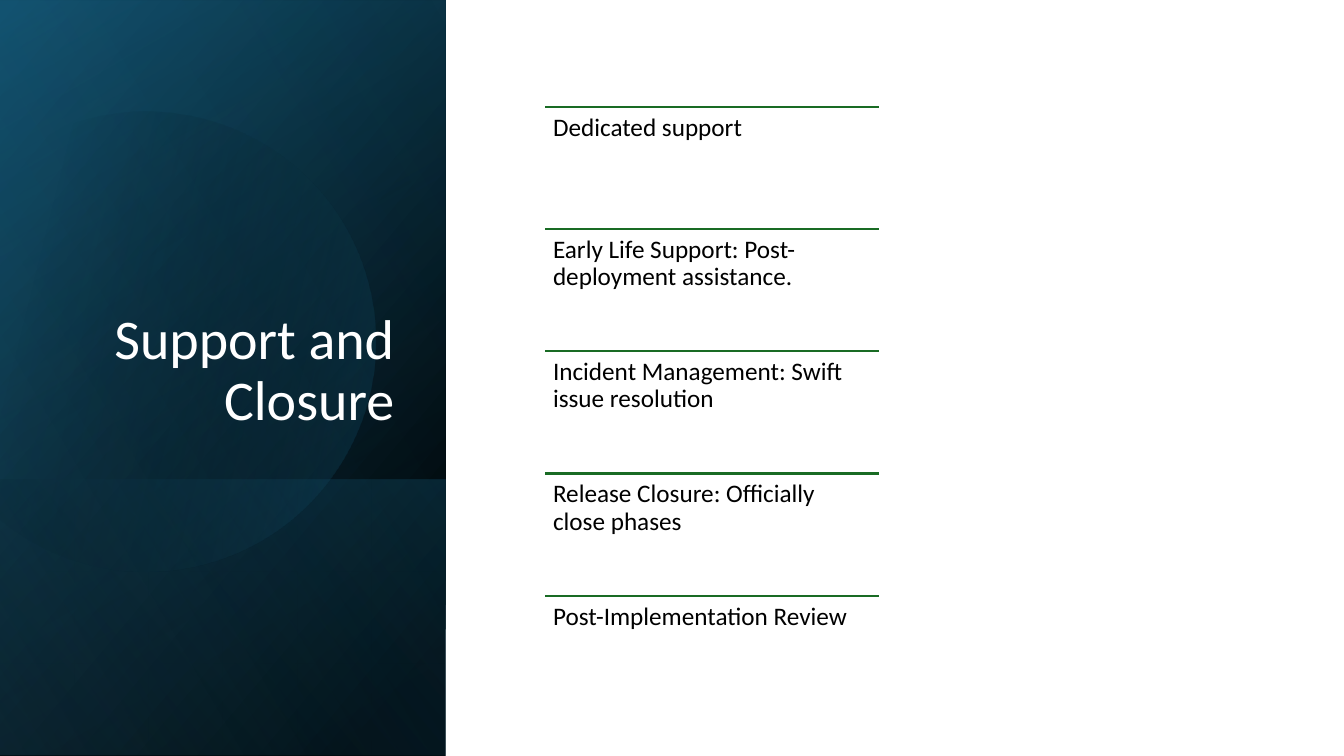
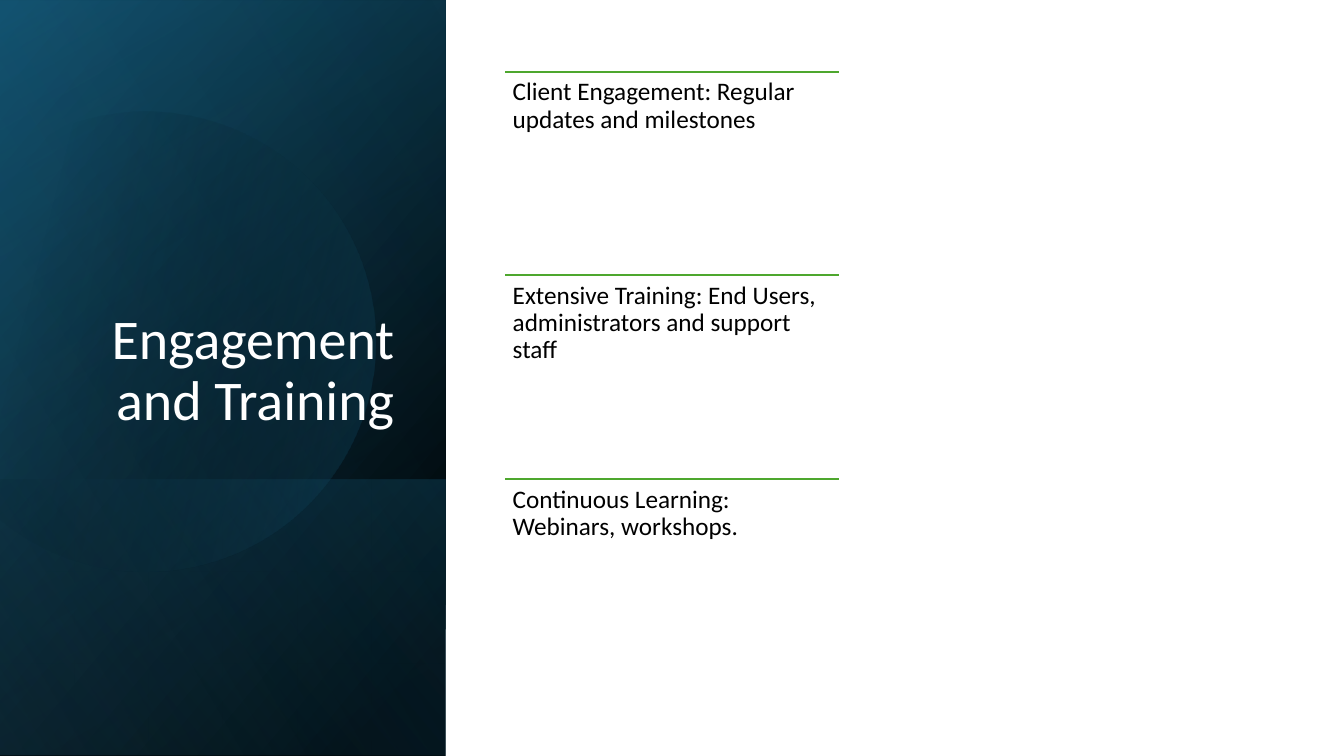
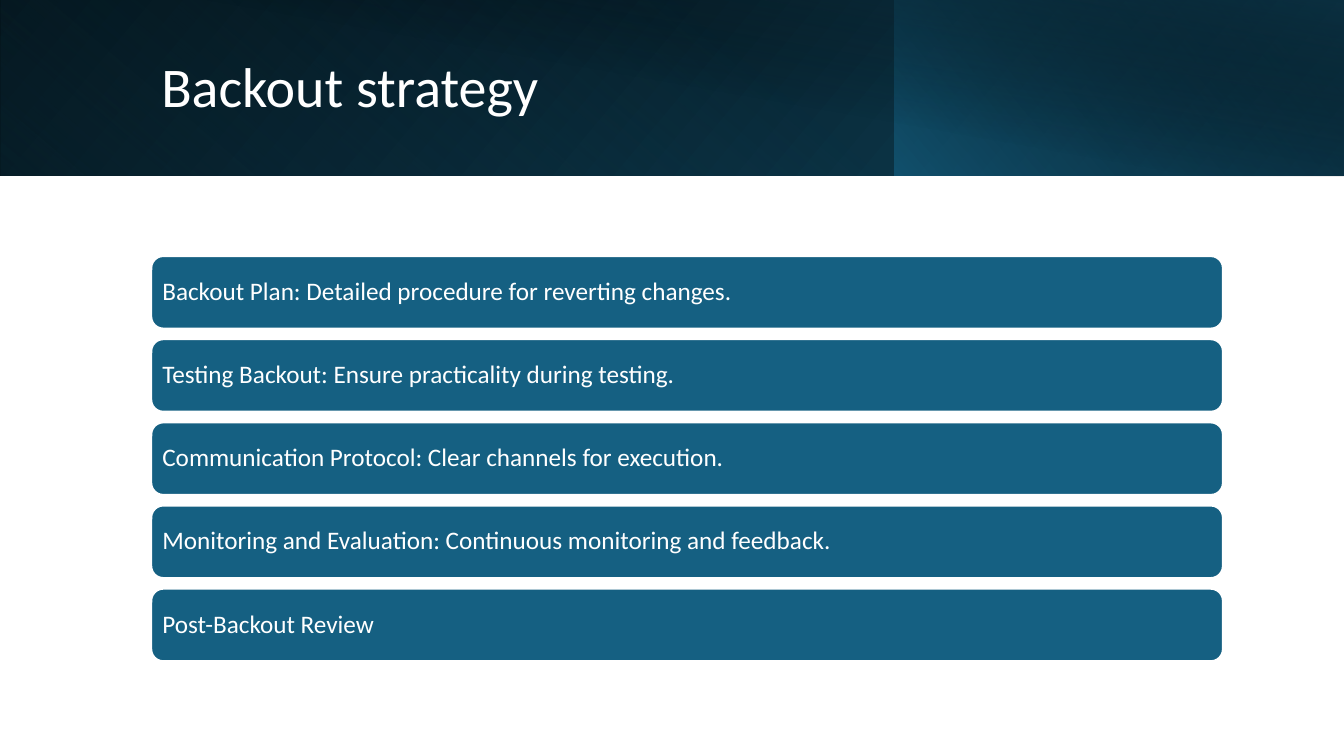
from dataclasses import dataclass
from math import cos, radians, sin, tan

from lxml import etree
from pptx import Presentation
from pptx.dml.color import RGBColor
from pptx.enum.shapes import MSO_CONNECTOR as Connector, MSO_SHAPE as Shape
from pptx.enum.text import MSO_ANCHOR as Anchor, MSO_AUTO_SIZE as AutoSize, PP_ALIGN as Align
from pptx.oxml import parse_xml
from pptx.oxml.ns import nsdecls, qn
from pptx.util import Inches, Pt


@dataclass(frozen=True)
class Theme:
    font: str = "Calibri"
    title_size: int = 40
    body_size: int = 18
    line_width: float = 1.5
    line_spacing: float = 0.9
    title_margins: tuple = (7.2, 3.6)
    item_margins: tuple = (5.4, 5.4)
    white: str = "FFFFFF"
    black: str = "000000"
    teal: str = "156082"
    deep_teal: str = "104862"
    night: str = "0B3041"
    sky: str = "46B1E1"
    dark_green: str = "196B24"
    green: str = "4EA72E"


theme = Theme()


def paint_gradient(shape, angle, stops, flip=True):
    """Fill with (position, colour, opacity) stops, all in percent; no outline."""
    shape.shadow.inherit = False
    shape.line.fill.background()
    stop_xml = "".join(
        f'<a:gs pos="{position * 1000}"><a:srgbClr val="{color}">'
        f'<a:alpha val="{opacity * 1000}"/></a:srgbClr></a:gs>'
        for position, color, opacity in stops
    )
    properties = shape.element.spPr
    properties.find(qn("a:ln")).addprevious(parse_xml(
        f'<a:gradFill {nsdecls("a")} rotWithShape="1"><a:gsLst>{stop_xml}</a:gsLst>'
        f'<a:lin ang="{angle * 60000}" scaled="0"/></a:gradFill>'
    ))
    if flip:
        properties.find(qn("a:xfrm")).set("flipH", "1")


def write_text(box, text, size, color, margins, align=Align.LEFT, anchor=Anchor.TOP):
    frame = box.text_frame
    frame.text = text
    frame.word_wrap = True
    frame.auto_size = AutoSize.NONE
    frame.vertical_anchor = anchor
    frame.margin_left = frame.margin_right = Pt(margins[0])
    frame.margin_top = frame.margin_bottom = Pt(margins[1])
    para = frame.paragraphs[0]
    para.alignment = align
    para.line_spacing = theme.line_spacing
    font = para.runs[0].font
    font.name = theme.font
    font.size = Pt(size)
    font.color.rgb = RGBColor.from_string(color)


# Backdrop layers: left, top, width, height, rotation, flip, angle, stops
side_layers = [
    (-1.54, 1.54, 7.5, 4.42, 90, True, 50,
     [(8, theme.black, 100), (100, theme.deep_teal, 100)]),
    (-1.54, 1.55, 7.5, 4.42, 90, True, 30,
     [(0, theme.black, 0), (99, theme.teal, 46)]),
    (0.84, 3.92, 2.74, 4.42, 90, True, 130,
     [(2, theme.teal, 29), (100, theme.black, 30)]),
    "disc",
    (-1.54, 1.53, 7.5, 4.42, 90, True, 120,
     [(0, theme.black, 0), (99, theme.sky, 11)]),
]
top_layers = [
    (0, 0, 13.33, 1.74, 0, True, 140,
     [(0, theme.black, 100), (100, theme.deep_teal, 100)]),
    (0, 0, 8.88, 1.74, 180, True, 230,
     [(20, theme.teal, 0), (100, theme.night, 55)]),
    (8.87, 0, 4.46, 1.74, 0, True, 220,
     [(0, theme.teal, 66), (100, theme.black, 30)]),
    (0.5, 0, 12.83, 1.75, 0, False, 280,
     [(50, theme.black, 0), (99, theme.night, 52)]),
]
side_title = ((0.51, 0.64, 3.5, 3.7), Align.RIGHT, Anchor.BOTTOM)
top_title = ((1.5, 0.32, 10.82, 1.13), Align.LEFT, Anchor.MIDDLE)

# Circle cut by a chord: an arc end, then two handles and an end for each curve
disc_x, disc_y, disc_radius, disc_tilt = 1.44, 3.35, 2.28, -16.1
arc_ends = [radians(degree) for degree in (-118, -90, 0, 90, 150)]
unit_points = [(cos(arc_ends[0]), sin(arc_ends[0]))]
for start, end in zip(arc_ends, arc_ends[1:]):
    reach = 4 / 3 * tan((end - start) / 4)
    unit_points += [
        (cos(start) - reach * sin(start), sin(start) + reach * cos(start)),
        (cos(end) + reach * sin(end), sin(end) - reach * cos(end)),
        (cos(end), sin(end)),
    ]
disc_points = [(Inches(disc_x + disc_radius * x), Inches(disc_y + disc_radius * y))
               for x, y in unit_points]

# Item grids: left, first top, last top, width, height, rule colour (None means bars)
pages = [
    ("Support and Closure", side_layers, side_title,
     (5.41, 1.06, 5.91, 3.31, 1.21, theme.dark_green),
     ["Dedicated support",
      "Early Life Support: Post-deployment assistance.",
      "Incident Management: Swift issue resolution",
      "Release Closure: Officially close phases",
      "Post-Implementation Review"]),
    ("Engagement and Training", side_layers, side_title,
     (5.01, 0.71, 4.75, 3.31, 2.02, theme.green),
     ["Client Engagement: Regular updates and milestones",
      "Extensive Training: End Users, administrators and support staff",
      "Continuous Learning: Webinars, workshops."]),
    ("Backout strategy", top_layers, top_title,
     (1.5, 2.54, 5.84, 10.63, 0.72, None),
     ["Backout Plan: Detailed procedure for reverting changes.",
      "Testing Backout: Ensure practicality during testing.",
      "Communication Protocol: Clear channels for execution.",
      "Monitoring and Evaluation: Continuous monitoring and feedback.",
      "Post-Backout Review"]),
]

deck = Presentation()
deck.slide_width, deck.slide_height = Inches(13.33), Inches(7.5)
title_only = deck.slide_layouts[5]

for heading, layers, (title_area, title_align, title_anchor), grid, items in pages:
    page = deck.slides.add_slide(title_only)
    shapes = page.shapes

    # Gradient backdrop
    for layer in layers:
        if layer == "disc":
            builder = shapes.build_freeform(*disc_points[0])
            builder.add_line_segments(disc_points[1:], close=True)
            disc = builder.convert_to_shape()
            # Join each three straight segments into one curve
            segments = list(disc.element.iter(qn("a:lnTo")))
            for first in range(0, len(segments), 3):
                curve = etree.Element(qn("a:cubicBezTo"))
                segments[first].addprevious(curve)
                for segment in segments[first:first + 3]:
                    curve.append(segment[0])
                    segment.getparent().remove(segment)
            disc.rotation = disc_tilt
            paint_gradient(disc, 30, [(29, theme.black, 0), (100, theme.teal, 43)], flip=False)
            continue
        *area, rotation, flip, angle, stops = layer
        panel = shapes.add_shape(Shape.RECTANGLE, *map(Inches, area))
        panel.rotation = rotation
        paint_gradient(panel, angle, stops, flip)

    # Title, raised above the backdrop
    title = shapes.title
    title.left, title.top, title.width, title.height = map(Inches, title_area)
    write_text(title, heading, theme.title_size, theme.white, theme.title_margins,
               title_align, title_anchor)
    panel.element.addnext(title.element)

    # Items: ruled text or filled bars
    left, first_top, last_top, width, height, rule_color = grid
    pitch = (last_top - first_top) / (len(items) - 1)
    for index, item in enumerate(items):
        top = first_top + index * pitch
        area = [Inches(length) for length in (left, top, width, height)]
        if rule_color:
            rule = shapes.add_connector(
                Connector.STRAIGHT, area[0], area[1], area[0] + area[2], area[1])
            rule.line.color.rgb = RGBColor.from_string(rule_color)
            rule.line.width = Pt(theme.line_width)
            etree.SubElement(rule.element.spPr, qn("a:effectLst"))
            box = shapes.add_textbox(*area)
            write_text(box, item, theme.body_size, theme.black, theme.item_margins)
        else:
            bar = shapes.add_shape(Shape.ROUNDED_RECTANGLE, *area)
            bar.shadow.inherit = False
            bar.fill.solid()
            bar.fill.fore_color.rgb = RGBColor.from_string(theme.teal)
            bar.line.color.rgb = RGBColor.from_string(theme.white)
            bar.line.width = Pt(theme.line_width)
            write_text(bar, item, theme.body_size, theme.white, theme.item_margins,
                       anchor=Anchor.MIDDLE)

deck.save("out.pptx")
